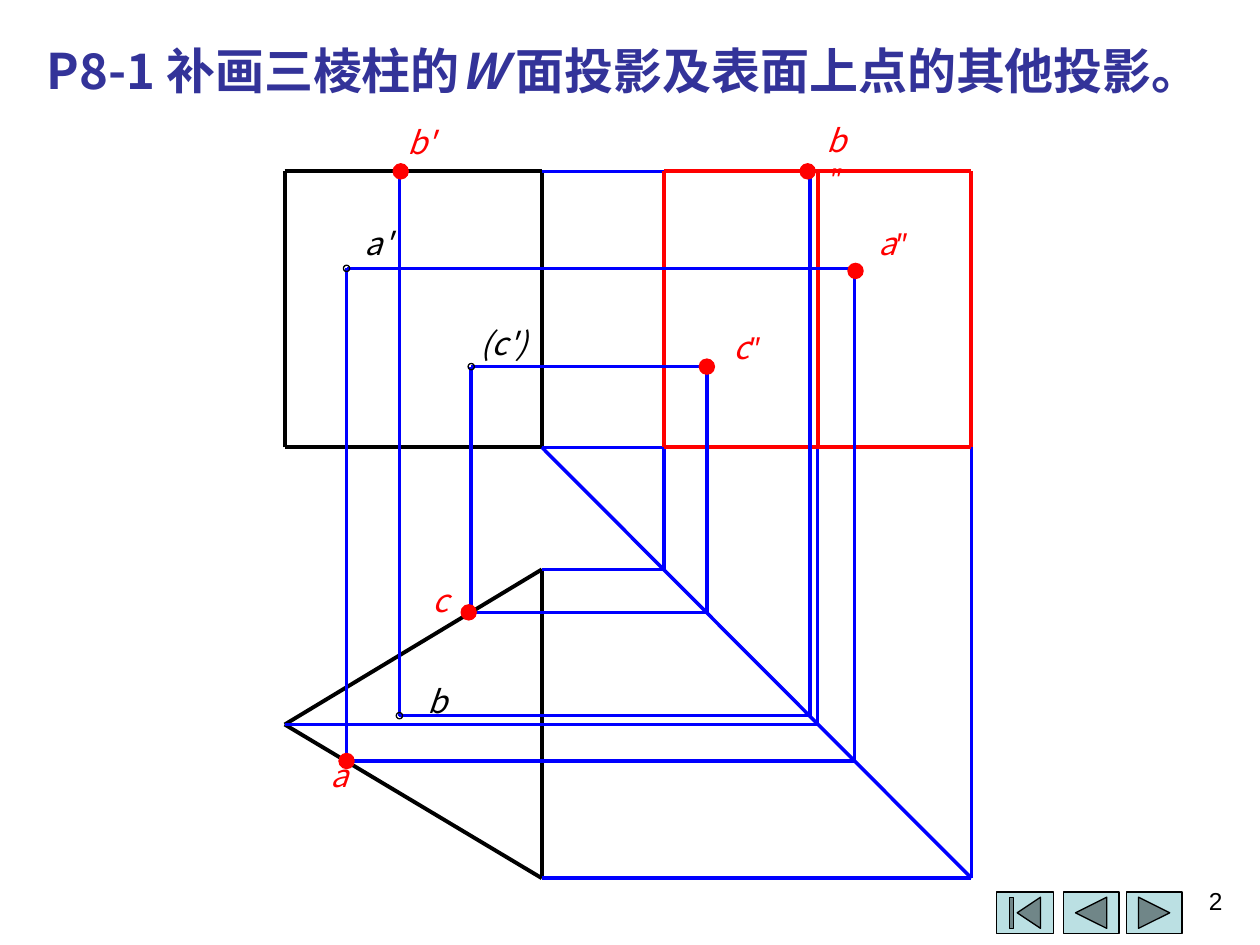
from lxml import etree
from pptx import Presentation
from pptx.dml.color import RGBColor
from pptx.enum import shapes, text
from pptx.oxml import ns
from pptx.util import Inches, Pt

BLACK = RGBColor(0, 0, 0)
BLUE = RGBColor(0, 0, 255)
RED = RGBColor(255, 0, 0)
NAVY = RGBColor(0x33, 0x33, 0x99)
TEAL = RGBColor(0xBB, 0xE0, 0xE3)
CJK = "Noto Sans CJK SC"
THICK, HAIR = 2.25, 0

# Grid of the three views
FRONT_L, FRONT_R, SIDE_L, SIDE_MID, SIDE_R = 2.26, 4.3, 5.27, 6.49, 7.71
TOP, BASE, PLAN_BACK, PLAN_MID, PLAN_FRONT = 1.36, 3.55, 4.52, 5.75, 6.97

# Projected points: front x, front y, plan y, side x
A = (2.75, 2.13, 6.04, 6.78)
B = (3.17, 1.36, 5.68, 6.43)
C = (3.74, 2.91, 4.86, 5.61)

TITLE = [("P8-1 补画三棱柱的", False), ("W ", True), ("面投影及表面上点的其他投影。", False)]

# Chains of points: each chain is drawn segment by segment
plan_view = [(FRONT_R, PLAN_BACK), (FRONT_R, PLAN_FRONT), (FRONT_L, PLAN_MID),
             (FRONT_R, PLAN_BACK)]


def outline(left, right):
    return [(left, TOP), (right, TOP), (right, BASE), (left, BASE), (left, TOP)]


def projection(x, front_y, plan_y, side_x):
    return [(x, front_y), (x, plan_y), (side_x, plan_y), (side_x, front_y)]


CHAINS = [
    (plan_view, BLACK, THICK),
    (outline(FRONT_L, FRONT_R), BLACK, THICK),
    ([(FRONT_R, BASE), (SIDE_R, PLAN_FRONT)], BLUE, HAIR),
    ([(FRONT_R, PLAN_BACK), (SIDE_L, PLAN_BACK), (SIDE_L, TOP)], BLUE, HAIR),
    ([(FRONT_R, PLAN_FRONT), (SIDE_R, PLAN_FRONT), (SIDE_R, TOP)], BLUE, HAIR),
    ([(FRONT_L, PLAN_MID), (SIDE_MID, PLAN_MID), (SIDE_MID, TOP)], BLUE, HAIR),
    ([(FRONT_R, TOP), (SIDE_R, TOP)], BLUE, HAIR),
    ([(FRONT_R, BASE), (SIDE_R, BASE)], BLUE, HAIR),
    (outline(SIDE_L, SIDE_R), RED, THICK),
    ([(SIDE_MID, TOP), (SIDE_MID, BASE)], RED, THICK),
    (projection(*B), BLUE, HAIR),
    (projection(*C) + [C[:2]], BLUE, HAIR),
    (projection(*A) + [A[:2]], BLUE, HAIR),
]

GIVEN_POINTS = [(2.75, 2.13), (3.74, 2.91), (3.17, 5.68)]
FOUND_POINTS = [(6.79, 2.15), (5.61, 2.91), (2.75, 6.04), (3.18, 1.36),
                (3.72, 4.86), (6.41, 1.36)]

# Label, double prime, left, top, width, colour
LABELS = [
    ("a'", "", 2.85, 1.78, 0.3, BLACK),
    ("(c')", "", 3.7, 2.57, 0.6, BLACK),
    ("b", "", 3.39, 5.41, 0.15, BLACK),
    ("a", "″", 6.97, 1.78, 0.24, RED),
    ("c", "″", 5.81, 2.6, 0.24, RED),
    ("a", "", 2.62, 6, 0.15, RED),
    ("b'", "", 3.19, 0.98, 0.3, RED),
    ("c", "", 3.42, 4.61, 0.15, RED),
    ("b", "″", 6.52, 0.96, 0.24, RED),
]

KIND = shapes.MSO_SHAPE
BUTTONS = [
    (KIND.ACTION_BUTTON_BEGINNING, 7.91, 0.45),
    (KIND.ACTION_BUTTON_BACK_OR_PREVIOUS, 8.44, 0.44),
    (KIND.ACTION_BUTTON_FORWARD_OR_NEXT, 8.94, 0.44),
]


def set_font(font, name, size, colour):
    font.name, font.size = name, Pt(size)
    font.color.rgb = colour


def add_shape(page, kind, left, top, width, height, fill, line, weight):
    shape = page.shapes.add_shape(kind, *map(Inches, (left, top, width, height)))
    shape.shadow.inherit = False
    if fill is None:
        shape.fill.background()
    else:
        shape.fill.solid()
        shape.fill.fore_color.rgb = fill
    shape.line.color.rgb = line
    shape.line.width = Pt(weight)


def add_dot(page, centre, size, fill, line):
    x, y = centre
    add_shape(page, KIND.OVAL, x - size / 2, y - size / 2, size, size, fill, line, HAIR)


def add_line(page, start, end, colour, weight):
    line = page.shapes.add_connector(shapes.MSO_CONNECTOR.STRAIGHT,
                                     *map(Inches, (*start, *end)))
    line.line.color.rgb = colour
    line.line.width = Pt(weight)
    etree.SubElement(line.element.spPr, ns.qn("a:effectLst"))


def add_label(page, letter, prime, left, top, width, colour):
    box = page.shapes.add_textbox(*map(Inches, (left, top, width, 0.3)))
    frame = box.text_frame
    frame.margin_left = frame.margin_right = frame.margin_top = frame.margin_bottom = 0
    frame.word_wrap = False
    para = frame.paragraphs[0]
    para.alignment = text.PP_ALIGN.CENTER
    set_font(para.font, CJK, 18, colour)
    para.font.italic = True
    para.add_run().text = letter
    if prime:
        span = para.add_run()
        span.text = prime
        span.font.name, span.font.italic = "Arial", False


def add_title(page):
    title = page.shapes.title
    title.left, title.top, title.width, title.height = map(Inches, (0.27, 0.27, 9.53, 1.04))
    frame = title.text_frame
    frame.word_wrap = True
    frame.auto_size = text.MSO_AUTO_SIZE.NONE
    frame.vertical_anchor = text.MSO_ANCHOR.TOP
    para = frame.paragraphs[0]
    para.alignment = text.PP_ALIGN.LEFT
    for words, italic in TITLE:
        span = para.add_run()
        span.text = words
        set_font(span.font, CJK, 28, NAVY)
        span.font.bold, span.font.italic = True, italic
        east_asian = etree.SubElement(span.font._element, ns.qn("a:ea"))
        east_asian.set("typeface", CJK)


def add_page_number(page):
    box = page.shapes.add_textbox(*map(Inches, (7.47, 6.98, 2.33, 0.52)))
    box.text_frame.word_wrap = True
    para = box.text_frame.paragraphs[0]
    para.text = "2"
    para.alignment = text.PP_ALIGN.RIGHT
    set_font(para.font, "Arial", 14, BLACK)


def main():
    deck = Presentation()
    deck.slide_width, deck.slide_height = Inches(10), Inches(7.5)
    page = deck.slides.add_slide(deck.slide_layouts[5])

    # Title and navigation
    add_title(page)
    for kind, left, width in BUTTONS:
        add_shape(page, kind, left, 7.08, width, 0.33, TEAL, BLACK, 0.75)

    # Views and projection lines
    for chain, colour, weight in CHAINS:
        for start, end in zip(chain, chain[1:]):
            add_line(page, start, end, colour, weight)

    # Points and their labels
    for centre in GIVEN_POINTS:
        add_dot(page, centre, 0.05, None, BLACK)
    for centre in FOUND_POINTS:
        add_dot(page, centre, 0.12, RED, RED)
    for label in LABELS:
        add_label(page, *label)

    add_page_number(page)
    deck.save("out.pptx")


if __name__ == "__main__":
    main()
